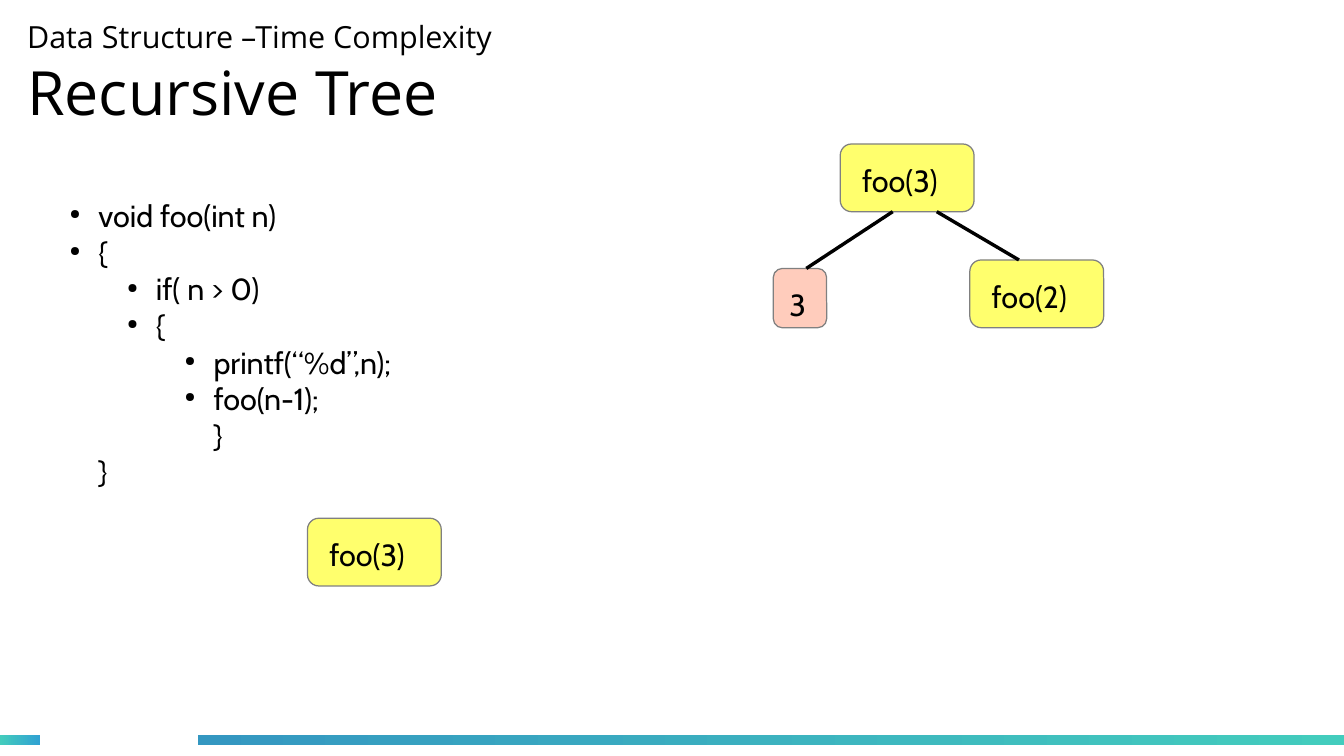
import lxml.etree
import pptx
import pptx.dml.color
import pptx.enum.dml
import pptx.enum.shapes
import pptx.enum.text
import pptx.oxml.ns
import pptx.util

Pt = pptx.util.Pt
RGBColor = pptx.dml.color.RGBColor
Shape = pptx.enum.shapes.MSO_SHAPE
Anchor = pptx.enum.text.MSO_ANCHOR
Align = pptx.enum.text.PP_ALIGN
qn = pptx.oxml.ns.qn

BLACK = RGBColor(0x00, 0x00, 0x00)
GREY = RGBColor(0x80, 0x80, 0x80)
CALL_YELLOW = RGBColor(0xFF, 0xFF, 0x6D)
OUTPUT_PINK = RGBColor(0xFF, 0xCC, 0xBC)
TEAL = RGBColor(0x43, 0xCC, 0xBD)
BRIGHT_BLUE = RGBColor(0x30, 0xA2, 0xD2)
DEEP_BLUE = RGBColor(0x34, 0x97, 0xC1)

SLIDE_WIDTH, SLIDE_HEIGHT = 793.4, 446.4
CALL_WIDTH, CALL_HEIGHT = 79, 40
HANGING = 17
LEVEL_STEP = 34

# Text, indent level, bulleted
CODE_LINES = [
    ("void foo(int n)", 0, True),
    ("{", 0, True),
    ("if( n > 0)", 1, True),
    ("{", 1, True),
    ("printf(“%d”,n);", 2, True),
    ("foo(n-1);", 2, True),
    ("}", 2, False),
    ("}", 0, False),
]


def format_font(font, name, size):
    font.name = name
    font.size = Pt(size)
    font.color.rgb = BLACK


def set_margins(frame, left, top, right, bottom):
    frame.margin_left, frame.margin_top = Pt(left), Pt(top)
    frame.margin_right, frame.margin_bottom = Pt(right), Pt(bottom)


def add_title(slide, left, top, width, height):
    title = slide.shapes.title
    title.left, title.top = Pt(left), Pt(top)
    title.width, title.height = Pt(width), Pt(height)
    frame = title.text_frame
    frame.text = "Data Structure –Time Complexity\vRecursive Tree"
    frame.word_wrap = True
    frame.auto_size = pptx.enum.text.MSO_AUTO_SIZE.NONE
    frame.vertical_anchor = Anchor.MIDDLE
    set_margins(frame, 0, 0, 0, 0)
    heading = frame.paragraphs[0]
    heading.alignment = Align.LEFT
    for run, size in zip(heading.runs, (18, 36)):
        format_font(run.font, "Open Sans", size)


def indent_line(paragraph, level, bulleted):
    """Indent a code line, with a small hanging bullet if asked for."""
    properties = paragraph._p.get_or_add_pPr()
    properties.set("marL", str(Pt(HANGING + LEVEL_STEP * level)))
    properties.set("indent", str(-Pt(HANGING) if bulleted else 0))
    if bulleted:
        lxml.etree.SubElement(properties, qn("a:buSzPct")).set("val", "45000")
        lxml.etree.SubElement(properties, qn("a:buChar")).set("char", "●")
    else:
        lxml.etree.SubElement(properties, qn("a:buNone"))


def add_code(slide, left, top, width, height):
    code = slide.shapes.add_textbox(Pt(left), Pt(top), Pt(width), Pt(height))
    frame = code.text_frame
    frame.word_wrap = True
    set_margins(frame, 7.2, 3.6, 7.2, 3.6)
    frame.text = "\n".join(text for text, _, _ in CODE_LINES)
    for paragraph, (_, level, bulleted) in zip(frame.paragraphs, CODE_LINES):
        indent_line(paragraph, level, bulleted)
        format_font(paragraph.runs[0].font, "Cabin", 18)


def add_node(slide, text, fill, left, top, width=CALL_WIDTH, height=CALL_HEIGHT,
             text_left=11, text_drop=3):
    node = slide.shapes.add_shape(Shape.ROUNDED_RECTANGLE,
                                  Pt(left), Pt(top), Pt(width), Pt(height))
    node.shadow.inherit = False
    node.fill.solid()
    node.fill.fore_color.rgb = fill
    node.line.color.rgb = GREY
    node.line.width = Pt(0)
    frame = node.text_frame
    frame.text = text
    frame.word_wrap = False
    frame.vertical_anchor = Anchor.MIDDLE
    set_margins(frame, text_left, text_drop, 0, 0)
    frame.paragraphs[0].alignment = Align.LEFT
    format_font(frame.paragraphs[0].runs[0].font, "Cabin", 18)


def add_branch(slide, start_x, start_y, end_x, end_y):
    branch = slide.shapes.add_connector(
        pptx.enum.shapes.MSO_CONNECTOR.STRAIGHT,
        Pt(start_x), Pt(start_y), Pt(end_x), Pt(end_y))
    branch.line.color.rgb = BLACK
    branch.line.width = Pt(0)
    lxml.etree.SubElement(branch._element.spPr, qn("a:effectLst"))


def add_tree(slide, left, top):
    """Draw foo(3) above its printed value and its recursive call."""
    root_left, root_bottom = left + 39.5, top + CALL_HEIGHT
    output_top, call_left, call_top = top + 73.5, left + 116, top + 68.5
    add_node(slide, "foo(3)", CALL_YELLOW, root_left, top)
    add_node(slide, "foo(2)", CALL_YELLOW, call_left, call_top)
    add_branch(slide, root_left + 57, root_bottom, call_left + 29, call_top)
    add_node(slide, "3", OUTPUT_PINK, left, output_top, 31.5, 35,
             text_left=8, text_drop=7)
    add_branch(slide, root_left + 31, root_bottom, left + 19.5, output_top)


def add_footer_bar(slide, left, width, start, end):
    bar = slide.shapes.add_shape(Shape.RECTANGLE, Pt(left), Pt(434),
                                 Pt(width), Pt(6))
    bar.shadow.inherit = False
    bar.line.fill.background()
    bar.fill.gradient()
    bar.fill.gradient_angle = 0
    for stop, color, position in zip(bar.fill.gradient_stops, (start, end), (0, 1)):
        stop.color.rgb = color
        stop.position = position


def main():
    deck = pptx.Presentation()
    deck.slide_width, deck.slide_height = Pt(SLIDE_WIDTH), Pt(SLIDE_HEIGHT)
    slide = deck.slides.add_slide(deck.slide_layouts.get_by_name("Title Only"))
    add_footer_bar(slide, 0, 23.5, TEAL, BRIGHT_BLUE)
    add_footer_bar(slide, 117, SLIDE_WIDTH - 117, DEEP_BLUE, TEAL)
    add_title(slide, 16, 6, 553, 73.5)
    add_code(slide, 34, 113, 255, 203)
    add_tree(slide, 456.5, 85)
    add_node(slide, "foo(3)", CALL_YELLOW, 181.5, 306)
    deck.save("out.pptx")


if __name__ == "__main__":
    main()
